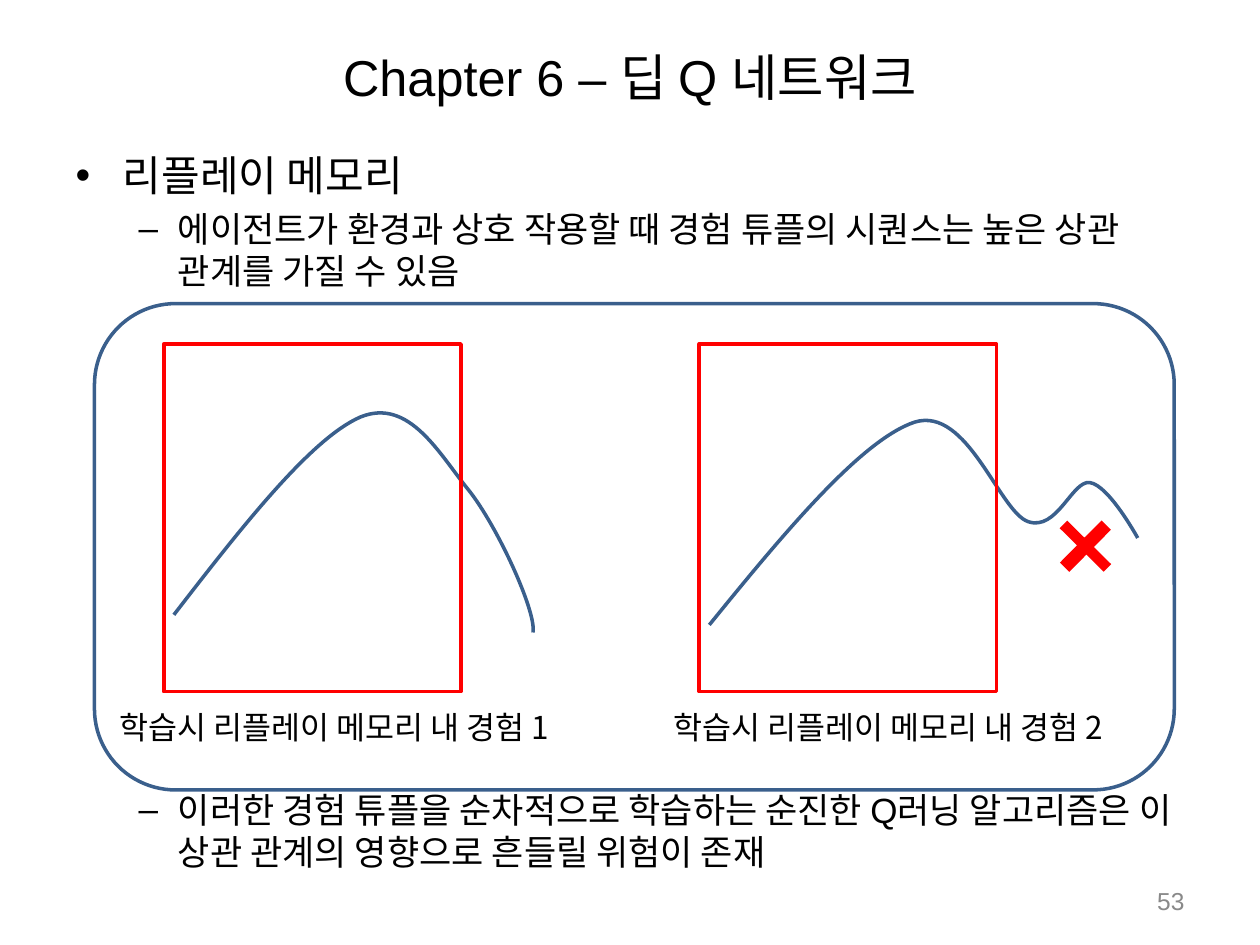
from lxml import etree
from pptx import Presentation
from pptx import util as u
from pptx.dml.color import RGBColor
from pptx.enum import shapes, text
from pptx.oxml import ns

LATIN, KOREAN = "Arial", "Noto Sans CJK KR"
BLACK, GREY, BLUE, RED = "000000", "898989", "3A5F8C", "FF0000"
MSO = shapes.MSO_SHAPE

# Start point, then two control points and an end point for each segment
CURVES = [
    [(1.38, 4.88),
     (1.92, 4.18), (2.47, 3.48), (2.86, 3.31),
     (3.25, 3.15), (3.49, 3.61), (3.72, 3.89),
     (3.95, 4.18), (4.26, 4.86), (4.23, 5.02)],
    [(5.63, 4.96),
     (6.23, 4.22), (6.84, 3.49), (7.26, 3.35),
     (7.68, 3.22), (7.93, 4.06), (8.16, 4.14),
     (8.39, 4.22), (8.51, 3.81), (8.65, 3.83),
     (8.8, 3.85), (9.03, 4.27), (9.03, 4.27)],
]
BODY = [
    ("리플레이 메모리", dict(size=24, line=28, before=0)),
    ("에이전트가 환경과 상호 작용할 때 경험 튜플의 시퀀스는 높은 상관 관계를 가질 수 있음",
     dict(size=20, level=1, line=24, before=4)),
    ("이러한 경험 튜플을 순차적으로 학습하는 순진한 Q러닝 알고리즘은 이 상관 관계의 영향으로 흔들릴 위험이 존재",
     dict(size=20, level=1, line=24, before=284)),
]


def color(hex_string):
    return RGBColor.from_string(hex_string)


def place(sp, left, top, width, height):
    sp.left, sp.top = u.Inches(left), u.Inches(top)
    sp.width, sp.height = u.Inches(width), u.Inches(height)


def write(p, words, size, font=LATIN, fill=BLACK, align=None, level=0,
          line=None, before=None):
    p.level = level
    if align is not None:
        p.alignment = align
    if line is not None:
        p.line_spacing = u.Pt(line)
    if before is not None:
        p.space_before = u.Pt(before)
    r = p.add_run()
    r.text = words
    r.font.size = u.Pt(size)
    r.font.color.rgb = color(fill)
    r.font.name = font
    etree.SubElement(r.font._element, ns.qn("a:ea"), typeface=KOREAN)


def prepare(tf, anchor):
    tf.word_wrap = True
    tf.auto_size = text.MSO_AUTO_SIZE.NONE
    tf.vertical_anchor = anchor
    return tf


def add_label(s, box, words, anchor=text.MSO_ANCHOR.TOP, **fmt):
    sp = s.shapes.add_textbox(*map(u.Inches, box))
    write(prepare(sp.text_frame, anchor).paragraphs[0], words, **fmt)


def style(sp, line=None, fill=None):
    sp.shadow.inherit = False
    if fill:
        sp.fill.solid()
        sp.fill.fore_color.rgb = color(fill)
    else:
        sp.fill.background()
    if line:
        sp.line.color.rgb = color(line)
        sp.line.width = u.Pt(2)
    else:
        sp.line.fill.background()


def add_preset(s, kind, box, **look):
    sp = s.shapes.add_shape(kind, *map(u.Inches, box))
    style(sp, **look)
    return sp


def add_curve(s, points):
    """Draw a freeform through the end points, then bend each line segment."""
    pts = [(u.Inches(x), u.Inches(y)) for x, y in points]
    builder = s.shapes.build_freeform(*pts[0])
    builder.add_line_segments(pts[3::3], close=False)
    sp = builder.convert_to_shape()
    for i, seg in enumerate(sp._element.findall(".//" + ns.qn("a:lnTo"))):
        seg.tag = ns.qn("a:cubicBezTo")
        for j, (x, y) in enumerate(pts[3 * i + 1:3 * i + 3]):
            pt = etree.Element(ns.qn("a:pt"), x=str(x - sp.left), y=str(y - sp.top))
            seg.insert(j, pt)
    style(sp, line=BLUE)


def add_body(sp):
    place(sp, 0.5, 1.15, 9, 5.55)
    tf = prepare(sp.text_frame, text.MSO_ANCHOR.TOP)
    for i, (words, fmt) in enumerate(BODY):
        write(tf.add_paragraph() if i else tf.paragraphs[0], words, **fmt)


def main():
    prs = Presentation()
    prs.slide_width, prs.slide_height = u.Inches(10), u.Inches(7.5)
    s = prs.slides.add_slide(prs.slide_layouts[1])

    title, body = s.placeholders
    place(title, 0.5, 0.3, 9, 0.61)
    write(prepare(title.text_frame, text.MSO_ANCHOR.MIDDLE).paragraphs[0],
          "Chapter 6 – 딥 Q 네트워크", size=28.8, align=text.PP_ALIGN.CENTER)
    add_body(body)
    add_label(s, (7.17, 6.95, 2.33, 0.4), "53", text.MSO_ANCHOR.MIDDLE,
              size=14, fill=GREY, align=text.PP_ALIGN.RIGHT)

    for points in CURVES:
        add_curve(s, points)
    for left in (1.3, 5.55):
        add_preset(s, MSO.RECTANGLE, (left, 2.73, 2.36, 2.76), line=RED)
    for number, left in enumerate((0.85, 5.25), 1):
        add_label(s, (left, 5.57, 4.14, 0.4),
                  f"학습시 리플레이 메모리 내 경험 {number}", size=18, font=KOREAN)

    add_preset(s, MSO.ROUNDED_RECTANGLE, (0.75, 2.41, 8.57, 3.86), line=BLUE)
    cross = add_preset(s, MSO.CROSS, (8.38, 4.09, 0.47, 0.49), fill=RED)
    cross.adjustments[0] = 0.41
    cross.rotation = 314.7

    prs.save("out.pptx")


if __name__ == "__main__":
    main()
